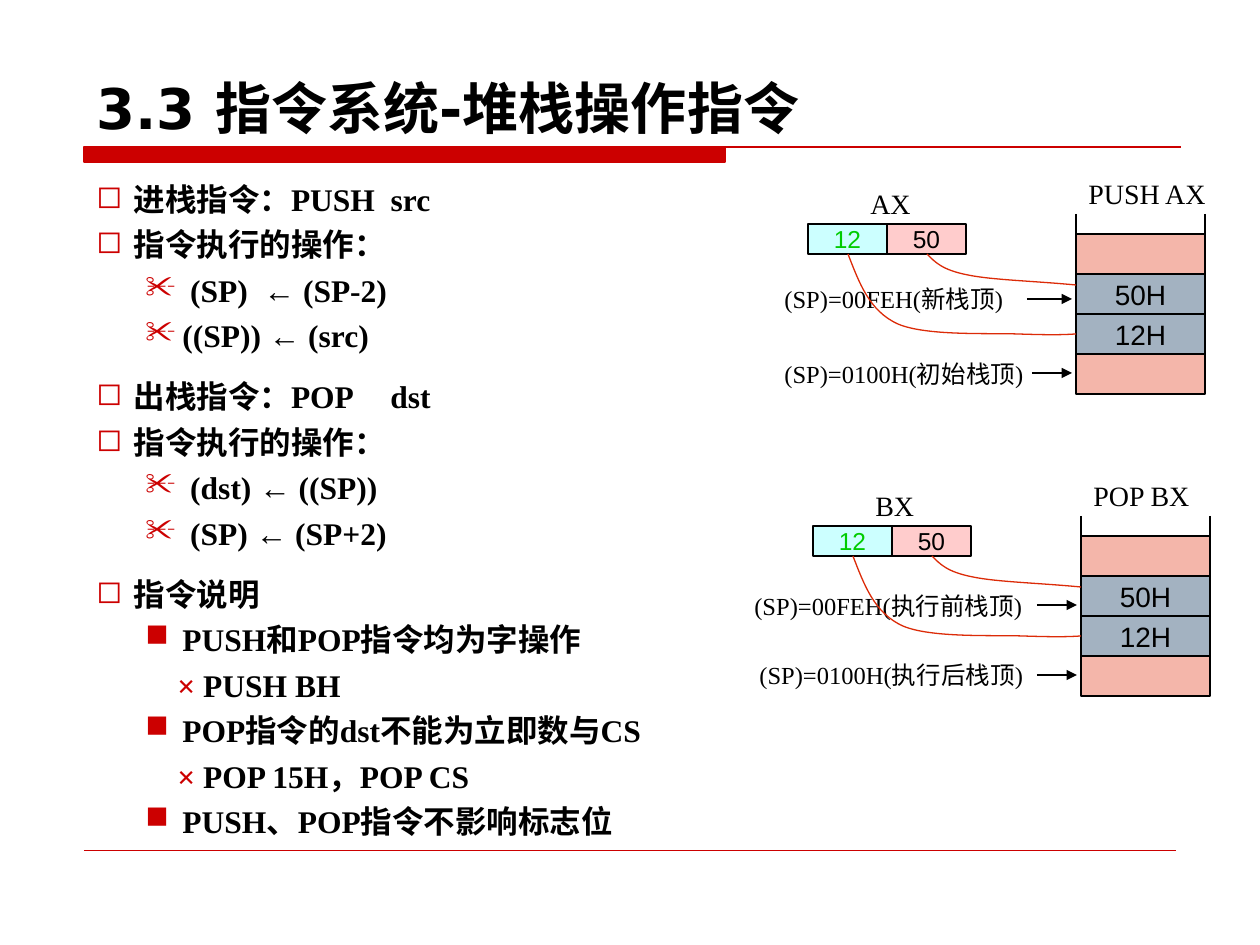
"""Builds the slide on the PUSH and POP stack instructions."""
from dataclasses import dataclass

from lxml import etree
from pptx import Presentation
from pptx import util as u
from pptx.dml.color import RGBColor
from pptx.enum import shapes, text
from pptx.oxml.ns import qn


@dataclass(frozen=True)
class Theme:
    """Colours, fonts and type sizes of the slide."""
    black: str = "000000"
    red: str = "CC0000"
    curve: str = "DC2B08"
    green: str = "00CC00"
    salmon: str = "F4B6AA"
    slate: str = "A3B2C1"
    cyan: str = "CCFFFF"
    pink: str = "FFCCCC"
    serif: str = "Times New Roman"
    sans: str = "Arial"
    heading: str = "DejaVu Sans"
    symbol: str = "OpenSymbol"
    title: int = 32
    body: int = 18
    label: int = 16
    small: int = 14


def px(n):
    """Turn pixels into EMU."""
    return u.Emu(round(n * 914400 / 126))


class Builder:
    """Draws styled elements on one slide."""

    def __init__(self, prs, theme):
        """Add a title-only slide to the presentation."""
        self.t = theme
        self.s = prs.slides.add_slide(prs.slide_layouts[5])
        self.dx = self.dy = 0

    def at(self, x, y):
        """Place a local point on the slide."""
        return px(x + self.dx), px(y + self.dy)

    def frame(self, sp, **fmt):
        """Format a text frame and return it."""
        tf = sp.text_frame
        base = dict(auto_size=text.MSO_AUTO_SIZE.NONE, word_wrap=False,
                    vertical_anchor=text.MSO_ANCHOR.TOP)
        for name, value in {**base, **fmt}.items():
            setattr(tf, name, value)
        return tf

    def run(self, p, words, size, font, color=None, bold=False):
        """Add one formatted run."""
        r = p.add_run()
        r.text = words
        for name, value in dict(size=u.Pt(size), name=font, bold=bold).items():
            setattr(r.font, name, value)
        r.font.color.rgb = RGBColor.from_string(color or self.t.black)

    def stroke(self, sp, color, width):
        """Set a line's colour and width."""
        sp.line.color.rgb = RGBColor.from_string(color)
        sp.line.width = u.Pt(width)

    def paint(self, sp, color):
        """Fill a shape with one colour."""
        sp.shadow.inherit = False
        sp.fill.solid()
        sp.fill.fore_color.rgb = RGBColor.from_string(color)

    def title(self, words, x, y, w, h):
        """Place and fill the title."""
        sp = self.s.shapes.title
        sp.left, sp.top, sp.width, sp.height = map(px, (x, y, w, h))
        p = self.frame(sp, word_wrap=True, vertical_anchor=text.MSO_ANCHOR.BOTTOM).paragraphs[0]
        p.alignment = text.PP_ALIGN.LEFT
        self.run(p, words, self.t.title, self.t.heading, bold=True)

    def rule(self, x, y, w, bar_w, bar_h):
        """Draw a thin rule that starts with a thick bar."""
        fb = self.s.shapes.build_freeform(*self.at(x, y))
        corners = (x + bar_w, y), (x + bar_w, y + bar_h), (x, y + bar_h)
        fb.add_line_segments([self.at(*q) for q in corners])
        fb.move_to(*self.at(x, y))
        fb.add_line_segments([self.at(x + w, y)], close=False)
        sp = fb.convert_to_shape()
        self.paint(sp, self.t.red)
        self.stroke(sp, self.t.red, 0.75)

    def box(self, x, y, w, h, fill, words="", size=16, color=None):
        """Draw a filled rectangle with centred text."""
        sp = self.s.shapes.add_shape(shapes.MSO_SHAPE.RECTANGLE, *self.at(x, y), px(w), px(h))
        self.paint(sp, fill)
        self.stroke(sp, self.t.black, 0.75)
        if words:
            p = self.frame(sp, vertical_anchor=text.MSO_ANCHOR.MIDDLE).paragraphs[0]
            p.alignment = text.PP_ALIGN.CENTER
            self.run(p, words, size, self.t.sans, color)

    def line(self, x1, y1, x2, y2, color=None, width=0.75, arrow=False):
        """Draw a straight line, with an arrowhead if wanted."""
        sp = self.s.shapes.add_connector(shapes.MSO_CONNECTOR.STRAIGHT,
                                         *self.at(x1, y1), *self.at(x2, y2))
        self.stroke(sp, color or self.t.black, width)
        if arrow:
            etree.SubElement(sp.line._get_or_add_ln(), qn("a:tailEnd"), type="triangle")
        etree.SubElement(sp._element.spPr, qn("a:effectLst"))

    def curve(self, start, *points):
        """Draw an open outline of cubic curves, three points to each."""
        fb = self.s.shapes.build_freeform(*self.at(*start))
        fb.add_line_segments([self.at(*q) for q in points], close=False)
        sp = fb.convert_to_shape()
        sp.shadow.inherit = False
        sp.fill.background()
        self.stroke(sp, self.t.curve, 0.75)
        outline = next(sp._element.iter(qn("a:path")))
        segments = outline.findall(qn("a:lnTo"))
        for i in range(0, len(segments), 3):
            cubic = etree.SubElement(outline, qn("a:cubicBezTo"))
            for segment in segments[i:i + 3]:
                cubic.append(segment[0])
                outline.remove(segment)

    def label(self, words, x, y, w, h, size):
        """Write one line of text."""
        sp = self.s.shapes.add_textbox(*self.at(x, y), px(w), px(h))
        self.run(self.frame(sp).paragraphs[0], words, size, self.t.serif)

    def bullets(self, items, x, y, w, h):
        """Write the bulleted outline."""
        sp = self.s.shapes.add_textbox(*self.at(x, y), px(w), px(h))
        tf = self.frame(sp, word_wrap=True)
        for i, (mark, words, before) in enumerate(items):
            p = tf.paragraphs[0] if i == 0 else tf.add_paragraph()
            margin, indent = {"◻": (30, -30), "×": (81, 0)}.get(mark, (86, -37))
            pr = p._p.get_or_add_pPr()
            pr.set("marL", str(px(margin)))
            pr.set("indent", str(px(indent)))
            if mark == "×":
                pr.set("lvl", "1")
                self.run(p, "× ", self.t.body, self.t.serif, self.t.red, True)
            else:
                pr.set("lvl", "0" if mark == "◻" else "1")
                clr = etree.SubElement(pr, qn("a:buClr"))
                etree.SubElement(clr, qn("a:srgbClr"), val=self.t.red)
                etree.SubElement(pr, qn("a:buFont"), typeface=self.t.symbol)
                etree.SubElement(pr, qn("a:buChar"), char=mark)
            if "\t" in words:
                tabs = etree.SubElement(pr, qn("a:tabLst"))
                etree.SubElement(tabs, qn("a:tab"), pos=str(px(294)), algn="l")
            p.line_spacing = 1.1
            p.space_before = u.Pt(before if i else 0)
            self.run(p, words, self.t.body, self.t.serif, bold=True)

    def stack(self, dx, dy, name, register, pointers):
        """Draw a register, a stack and the moves between them."""
        t, self.dx, self.dy = self.t, dx, dy
        left, width, top, step = 1076, 129, 234, 40
        for x in (left, left + width):
            self.line(x, 214, x, top + 4 * step)
        cells = (t.salmon, ""), (t.slate, "50H"), (t.slate, "12H"), (t.salmon, "")
        for i, (fill, words) in enumerate(cells):
            self.box(left, top + i * step, width, step, fill, words, t.label)
        self.box(808, 224, 79, 30, t.cyan, "12", t.small, t.green)
        self.box(887, 224, 79, 30, t.pink, "50", t.small)
        for words, x, y, w, start, level in pointers:
            self.label(words, x, y, w, 43, t.small)
            self.line(start, level, 1072, level, arrow=True)
        self.label(name[0], left, 170, name[1], 47, t.label)
        self.label(register, 858, 180, 65, 47, t.label)
        self.curve((927, 254), (935, 262), (942, 270), (968, 275),
                   (992, 280), (1034, 281), (left, 285))
        self.curve((848, 254), (859, 282), (869, 311), (898, 324),
                   (926, 336), (988, 333), (1017, 334),
                   (1047, 335), (1062, 335), (left, 334))


OUTLINE = [
    ("◻", " 进栈指令：PUSH  src", 0),
    ("◻", " 指令执行的操作：", 2.2),
    ("✂", " (SP)  ← (SP-2)", 2.2),
    ("✂", "((SP)) ← (src)", 2.2),
    ("◻", " 出栈指令：POP\tdst", 11.2),
    ("◻", " 指令执行的操作：", 2.2),
    ("✂", " (dst) ← ((SP))", 2.2),
    ("✂", " (SP) ← (SP+2)", 2.2),
    ("◻", " 指令说明", 11.2),
    ("■", "PUSH和POP指令均为字操作", 2.2),
    ("×", "PUSH BH", 2.2),
    ("■", "POP指令的dst不能为立即数与CS", 2.2),
    ("×", "POP 15H，POP CS", 2.2),
    ("■", "PUSH、POP指令不影响标志位", 2.2),
]


def main():
    """Build and save the slide."""
    prs = Presentation()
    prs.slide_width, prs.slide_height = px(1260), px(945)
    b = Builder(prs, Theme())
    b.rule(84, 147, 1097, 641, 15)
    b.line(84, 850, 1176, 850, b.t.red, 0.25)
    b.bullets(OUTLINE, 84, 170, 1126, 678)
    b.title("3.3 指令系统-堆栈操作指令", 84, 63, 1023, 84)
    b.stack(0, 0, ("PUSH AX", 144), "AX",
            [("(SP)=0100H(初始栈顶)", 772, 353, 276, 1032, 373),
             ("(SP)=00FEH(新栈顶)", 772, 278, 256, 1027, 299)])
    b.stack(5, 302, ("POP BX", 122), "BX",
            [("(SP)=0100H(执行后栈顶)", 742, 352, 300, 1032, 373),
             ("(SP)=00FEH(执行前栈顶)", 737, 283, 305, 1032, 303)])
    prs.save("out.pptx")


if __name__ == "__main__":
    main()
